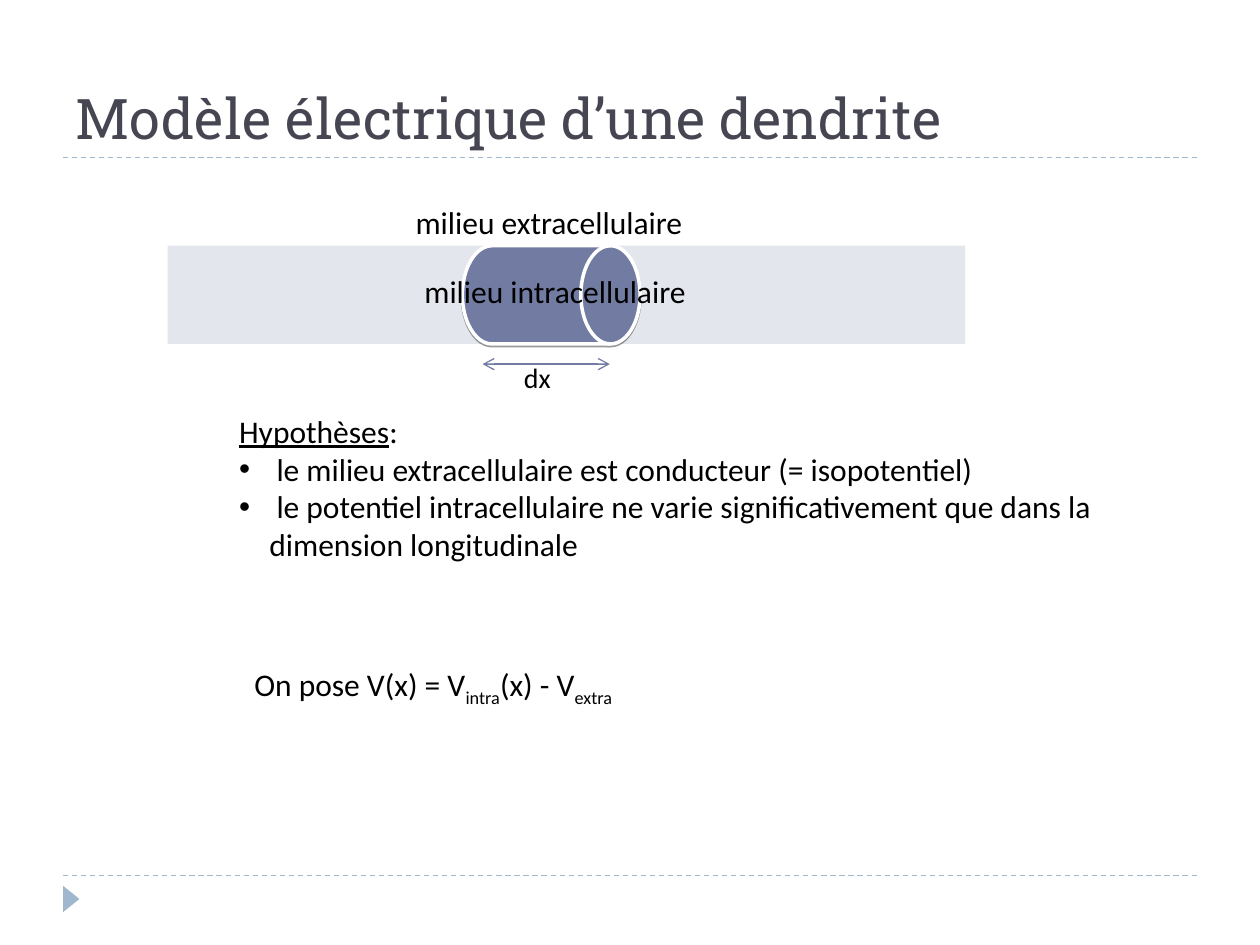
from dataclasses import dataclass

from lxml import etree
from pptx import Presentation
from pptx.dml.color import RGBColor
from pptx.enum.dml import MSO_LINE
from pptx.enum.shapes import MSO_CONNECTOR, MSO_SHAPE
from pptx.enum.text import MSO_ANCHOR, MSO_AUTO_SIZE, PP_ALIGN
from pptx.oxml.ns import qn
from pptx.util import Emu, Inches, Pt

STRAIGHT = MSO_CONNECTOR.STRAIGHT
RECT = MSO_SHAPE.RECTANGLE
DRUM = MSO_SHAPE.FLOWCHART_DIRECT_ACCESS_STORAGE
WEDGE = MSO_SHAPE.ISOSCELES_TRIANGLE
DASH = MSO_LINE.DASH
BOTTOM = MSO_ANCHOR.BOTTOM
LEFT = PP_ALIGN.LEFT
FIXED = MSO_AUTO_SIZE.NONE
GROW = MSO_AUTO_SIZE.SHAPE_TO_FIT_TEXT

COLORS = {"title": "464653", "text": "000000", "main": "727CA3",
          "pale": "9FB8CD", "edge": "FFFFFF"}
FONT = "Calibri"
TITLE_FONT = "Roboto Slab"
CELL = Inches(1)  # the grid has 10 columns and 7.5 rows
COLS, ROWS = 10, 7.5
MARGIN = 0.5
TUBE_TOP, TUBE_HIGH = 1.95, 0.78
HANG = 0.24


@dataclass
class Box:
    col: float
    row: float
    wide: float
    high: float

    def place(self) -> list[Emu]:
        return [grid(n) for n in (self.col, self.row, self.wide, self.high)]


@dataclass
class Bit:
    text: str
    under: bool = False
    sub: bool = False


@dataclass
class Line:
    bits: list[Bit]
    bullet: bool = False


@dataclass
class Label:
    box: Box
    lines: list[Line]
    size: int = 18
    wrap: bool = False


LABELS = [
    Label(Box(3.2, 1.56, 2.65, 0.4), [Line([Bit("milieu extracellulaire")])]),
    Label(Box(3.27, 2.11, 2.6, 0.4), [Line([Bit("milieu intracellulaire")])]),
    Label(Box(1.8, 3.22, 7.03, 1.3), [
        Line([Bit("Hypothèses", under=True), Bit(":")]),
        Line([Bit(" le milieu extracellulaire est conducteur (= isopotentiel)")],
             bullet=True),
        Line([Bit(" le potentiel intracellulaire ne varie significativement "
                  "que dans la dimension longitudinale")], bullet=True),
    ], wrap=True),
    Label(Box(4.06, 2.81, 0.45, 0.37), [Line([Bit("dx")])], size=16),
    Label(Box(1.92, 5.23, 3.41, 0.44), [
        Line([Bit("On pose V(x) = V"), Bit("intra", sub=True),
              Bit("(x) - V"), Bit("extra", sub=True)]),
    ]),
]


def grid(count: float) -> Emu:
    return Emu(round(count * CELL))


def color(name: str) -> RGBColor:
    return RGBColor.from_string(COLORS[name])


def add_rule(slide, start: float, end: float, row: float, name: str):
    rule = slide.shapes.add_connector(
        STRAIGHT, grid(start), grid(row), grid(end), grid(row))
    rule.line.color.rgb = color(name)
    rule.line.width = Pt(0.75)
    etree.SubElement(rule._element.spPr, qn("a:effectLst"))
    return rule


def add_solid(slide, kind, box: Box, name: str):
    solid = slide.shapes.add_shape(kind, *box.place())
    solid.shadow.inherit = False
    solid.fill.solid()
    solid.fill.fore_color.rgb = color(name)
    solid.line.fill.background()
    return solid


def add_alpha(tint, share: int) -> None:
    """Set the opacity of a colour element, in percent."""
    etree.SubElement(tint, qn("a:alpha"), val=str(share * 1000))


def add_shadow(shape) -> None:
    effects = shape._element.spPr.find(qn("a:effectLst"))
    shade = etree.SubElement(effects, qn("a:outerShdw"), blurRad="0",
                             dist=str(Pt(1)), dir="5400000", rotWithShape="0")
    tint = etree.SubElement(shade, qn("a:srgbClr"), val=COLORS["text"])
    add_alpha(tint, 40)


def add_bullet(para) -> None:
    props = para._p.get_or_add_pPr()
    props.set("marL", str(grid(HANG)))
    props.set("indent", str(-grid(HANG)))
    tint = etree.SubElement(props, qn("a:buClr"))
    etree.SubElement(tint, qn("a:srgbClr"), val=COLORS["text"])
    etree.SubElement(props, qn("a:buFont"), typeface="Arial")
    etree.SubElement(props, qn("a:buChar"), char="•")


def add_run(para, bit: Bit, size: int, font: str = FONT,
            name: str = "text") -> None:
    run = para.add_run()
    run.text = bit.text
    run.font.name = font
    run.font.size = Pt(size)
    run.font.color.rgb = color(name)
    if bit.under:
        run.font.underline = True
    if bit.sub:
        run._r.get_or_add_rPr().set("baseline", "-25000")


def add_label(slide, label: Label) -> None:
    frame = slide.shapes.add_textbox(*label.box.place()).text_frame
    frame.word_wrap = label.wrap
    frame.auto_size = GROW
    for i, line in enumerate(label.lines):
        para = frame.add_paragraph() if i else frame.paragraphs[0]
        if line.bullet:
            add_bullet(para)
        for bit in line.bits:
            add_run(para, bit, label.size)


def set_title(slide, text: str) -> None:
    title = slide.shapes.title
    box = Box(MARGIN, 0.17, COLS - 2 * MARGIN, 1.08)
    title.left, title.top, title.width, title.height = box.place()
    frame = title.text_frame
    frame.vertical_anchor = BOTTOM
    frame.auto_size = FIXED
    para = frame.paragraphs[0]
    para.alignment = LEFT
    add_run(para, Bit(text), 32, TITLE_FONT, "title")


def draw_tube(slide) -> None:
    tube = add_solid(slide, RECT, Box(1.33, TUBE_TOP, 6.33, TUBE_HIGH), "main")
    add_alpha(tube._element.spPr.find(qn("a:solidFill"))[0], 19)
    drum = add_solid(slide, DRUM, Box(3.67, TUBE_TOP, 1.41, TUBE_HIGH), "main")
    drum.line.color.rgb = color("edge")
    drum.line.width = Pt(2)
    add_shadow(drum)


def draw_span(slide) -> None:
    """Draw the double arrow that marks the length dx."""
    span = add_rule(slide, 3.83, 4.84, 2.89, "main")
    stroke = span._element.spPr.find(qn("a:ln"))
    for end in ("a:headEnd", "a:tailEnd"):
        etree.SubElement(stroke, qn(end), type="arrow")


def main() -> None:
    deck = Presentation()
    deck.slide_width, deck.slide_height = grid(COLS), grid(ROWS)
    slide = deck.slides.add_slide(deck.slide_layouts[5])
    for row in (6.95, 1.25):
        rule = add_rule(slide, MARGIN, COLS - MARGIN, row, "pale")
        rule.line.dash_style = DASH
    wedge = add_solid(slide, WEDGE, Box(0.46, 7.07, 0.21, 0.13), "pale")
    wedge.rotation = 90
    set_title(slide, "Modèle électrique d’une dendrite")
    draw_tube(slide)
    for label in LABELS:
        add_label(slide, label)
    draw_span(slide)
    deck.save("out.pptx")


if __name__ == "__main__":
    main()
